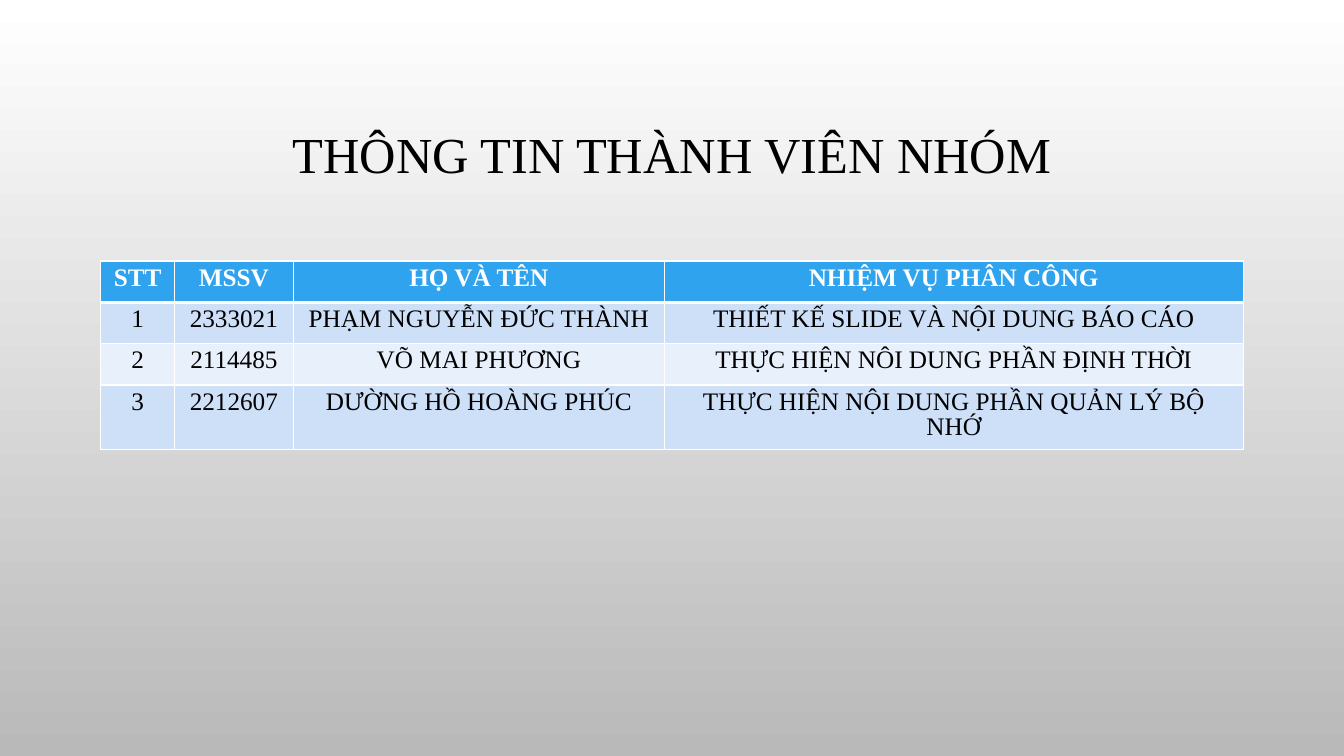
from lxml import etree
from pptx import Presentation
from pptx.dml.color import RGBColor
from pptx.enum.text import MSO_ANCHOR, PP_ALIGN
from pptx.oxml.ns import qn
from pptx.util import Inches, Pt

CENTER = PP_ALIGN.CENTER
MIDDLE = MSO_ANCHOR.MIDDLE
FONT = "Times New Roman"
COLORS = {
    "top": "FFFFFF", "bottom": "B9B9B9", "text": "000000",
    "head": "2FA3EE", "odd": "CDE0F8", "even": "E7F0FB", "white": "FFFFFF",
}
WIDE, HIGH = 13.33, 7.5
LEFT, SPAN = 1, 11.33
COLS = [0.73, 1.18, 3.68, 5.74]
ROW = 0.41
THIN, THICK = 0.96, 3
MEMBERS = [
    ["STT", "MSSV", "HỌ VÀ TÊN", "NHIỆM VỤ PHÂN CÔNG"],
    ["1", "2333021", "PHẠM NGUYỄN ĐỨC THÀNH", "THIẾT KẾ SLIDE VÀ NỘI DUNG BÁO CÁO"],
    ["2", "2114485", "VÕ MAI PHƯƠNG", "THỰC HIỆN NÔI DUNG PHẦN ĐỊNH THỜI"],
    ["3", "2212607", "DƯỜNG HỒ HOÀNG PHÚC", "THỰC HIỆN NỘI DUNG PHẦN QUẢN LÝ BỘ NHỚ"],
]


def color(name):
    return RGBColor.from_string(COLORS[name])


def write(frame, text, size, ink, bold=False):
    frame.text = text
    para = frame.paragraphs[0]
    para.alignment = CENTER
    para.line_spacing = 0.9
    font = para.runs[0].font
    font.name, font.size, font.bold = FONT, Pt(size), bold
    font.color.rgb = color(ink)


def edge(cell, side, width):
    """Draw one white border; side is L, R, T or B."""
    line = etree.SubElement(cell._tc.get_or_add_tcPr(), qn(f"a:ln{side}"), w=str(Pt(width)))
    fill = etree.SubElement(line, qn("a:solidFill"))
    etree.SubElement(fill, qn("a:srgbClr"), val=COLORS["white"])


def add_back(slide):
    fill = slide.background.fill
    fill.gradient()
    fill.gradient_angle = 270
    for stop, place, name in zip(fill.gradient_stops, (0, 1), ("top", "bottom")):
        stop.position = place
        stop.color.rgb = color(name)


def add_title(slide, box, text):
    frame = slide.shapes.add_textbox(*map(Inches, box)).text_frame
    frame.word_wrap = True
    frame.vertical_anchor = MIDDLE
    write(frame, text, 36, "text")


def add_members(slide, box, data):
    table = slide.shapes.add_table(len(data), len(COLS), *map(Inches, box)).table
    for col, width in zip(table.columns, COLS):
        col.width = Inches(width)
    for r, texts in enumerate(data):
        table.rows[r].height = Inches(ROW)
        head = r == 0
        shade = "head" if head else "odd" if r % 2 else "even"
        for c, text in enumerate(texts):
            cell = table.cell(r, c)
            for side in "LRTB":
                thick = (r, side) in ((0, "B"), (1, "T"))
                edge(cell, side, THICK if thick else THIN)
            cell.fill.solid()
            cell.fill.fore_color.rgb = color(shade)
            write(cell.text_frame, text, 18, "white" if head else "text", head)


def main():
    deck = Presentation()
    deck.slide_width, deck.slide_height = Inches(WIDE), Inches(HIGH)
    slide = deck.slides.add_slide(deck.slide_layouts[6])
    add_back(slide)
    add_title(slide, (LEFT, 0.68, SPAN, 1.75), "THÔNG TIN THÀNH VIÊN NHÓM")
    add_members(slide, (LEFT, 2.59, SPAN, ROW * len(MEMBERS)), MEMBERS)
    deck.save("out.pptx")


if __name__ == "__main__":
    main()
